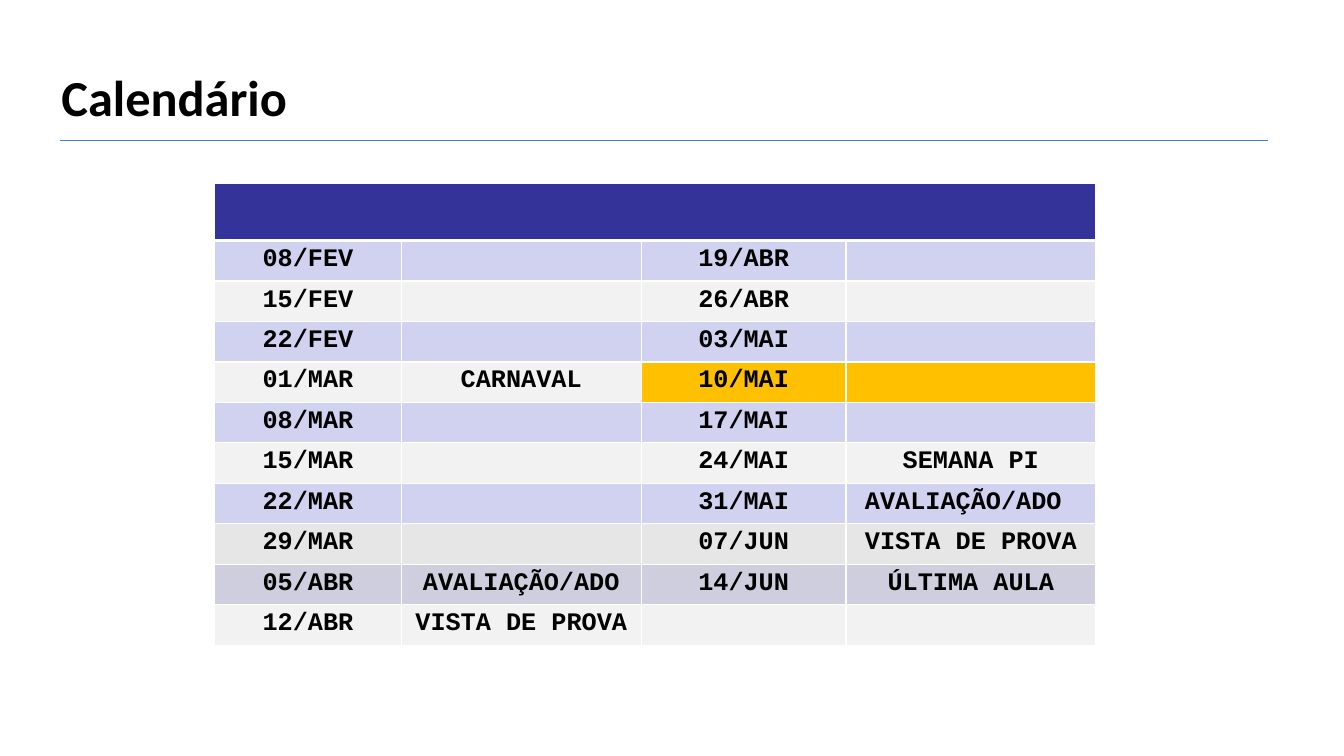
from dataclasses import dataclass

from lxml.etree import SubElement
from pptx import Presentation
from pptx.dml.color import RGBColor as RGB
from pptx.enum.shapes import MSO_CONNECTOR as CONN
from pptx.enum.text import MSO_ANCHOR as ANCHOR, PP_ALIGN as ALIGN
from pptx.oxml import parse_xml
from pptx.oxml.ns import nsdecls, qn
from pptx.util import Cm, Pt


@dataclass(frozen=True)
class Theme:
    title_font: str = "Calibri"
    table_font: str = "Courier New"
    title_size: int = 36
    table_size: int = 18
    text: str = "000000"
    rule: str = "4A7DBA"
    header: str = "333399"
    lilac: str = "D1D1F0"
    light: str = "F2F2F2"
    grey: str = "E6E6E6"
    mauve: str = "CECEDE"
    highlight: str = "FFC000"
    border: str = "FFFFFF"


THEME = Theme()

CALENDAR = [
    ("08/FEV", "", "19/ABR", ""),
    ("15/FEV", "", "26/ABR", ""),
    ("22/FEV", "", "03/MAI", ""),
    ("01/MAR", "CARNAVAL", "10/MAI", ""),
    ("08/MAR", "", "17/MAI", ""),
    ("15/MAR", "", "24/MAI", "SEMANA PI"),
    ("22/MAR", "", "31/MAI", "AVALIAÇÃO/ADO "),
    ("29/MAR", "", "07/JUN", "VISTA DE PROVA"),
    ("05/ABR", "AVALIAÇÃO/ADO", "14/JUN", "ÚLTIMA AULA"),
    ("12/ABR", "VISTA DE PROVA", "", ""),
]
SPECIAL_ROWS = {"29/MAR": THEME.grey, "05/ABR": THEME.mauve}
HIGHLIGHTED_DATE = "10/MAI"
COLUMN_WIDTHS = (4.7, 6.05, 5.16, 6.29)
HEADER_HEIGHT = 1.44
ROW_HEIGHT = 1.02


def add_run(p, text, font, size):
    r = p.add_run()
    r.text = text
    r.font.name = font
    r.font.size = Pt(size)
    r.font.bold = True
    r.font.color.rgb = RGB.from_string(THEME.text)


def add_title(slide, text):
    sp = slide.shapes.add_textbox(Cm(1.3), Cm(1.52), Cm(22.83), Cm(1.8))
    tf = sp.text_frame
    tf.word_wrap = True
    tf.vertical_anchor = ANCHOR.MIDDLE
    add_run(tf.paragraphs[0], text, THEME.title_font, THEME.title_size)


def add_rule(slide):
    line = slide.shapes.add_connector(
        CONN.STRAIGHT, Cm(1.5), Cm(3.53), Cm(31.95), Cm(3.53))
    line.line.color.rgb = RGB.from_string(THEME.rule)
    line.line.width = Pt(0.75)
    SubElement(line._element.spPr, qn("a:effectLst"))


def style_cell(cell, fill, bottom=1):
    cell.fill.solid()
    cell.fill.fore_color.rgb = RGB.from_string(fill)
    tc_pr = cell._tc.get_or_add_tcPr()
    widths = {"lnL": 1, "lnR": 1, "lnT": 1, "lnB": bottom}
    for i, (side, width) in enumerate(widths.items()):
        tc_pr.insert(i, parse_xml(
            f'<a:{side} {nsdecls("a")} w="{Pt(width)}"><a:solidFill>'
            f'<a:srgbClr val="{THEME.border}"/></a:solidFill></a:{side}>'))


def add_calendar(slide):
    table = slide.shapes.add_table(
        len(CALENDAR) + 1, len(COLUMN_WIDTHS), Cm(5.41), Cm(4.62),
        Cm(sum(COLUMN_WIDTHS)),
        Cm(HEADER_HEIGHT + ROW_HEIGHT * len(CALENDAR))).table
    for column, width in zip(table.columns, COLUMN_WIDTHS):
        column.width = Cm(width)
    for i, row in enumerate(table.rows):
        row.height = Cm(ROW_HEIGHT if i else HEADER_HEIGHT)

    for cell in table.rows[0].cells:
        style_cell(cell, THEME.header, bottom=3)
    table.cell(0, 0).merge(table.cell(0, len(COLUMN_WIDTHS) - 1))

    for i, entries in enumerate(CALENDAR):
        band = THEME.light if i % 2 else THEME.lilac
        row_fill = SPECIAL_ROWS.get(entries[0], band)
        for j, text in enumerate(entries):
            cell = table.cell(i + 1, j)
            date = entries[j - j % 2]
            style_cell(cell, THEME.highlight if date == HIGHLIGHTED_DATE else row_fill)
            if text:
                p = cell.text_frame.paragraphs[0]
                p.alignment = ALIGN.CENTER
                add_run(p, text, THEME.table_font, THEME.table_size)


def main():
    prs = Presentation()
    prs.slide_width, prs.slide_height = Cm(33.87), Cm(19.05)
    slide = prs.slides.add_slide(prs.slide_layouts[6])
    add_title(slide, "Calendário")
    add_rule(slide)
    add_calendar(slide)
    prs.save("out.pptx")


if __name__ == "__main__":
    main()
